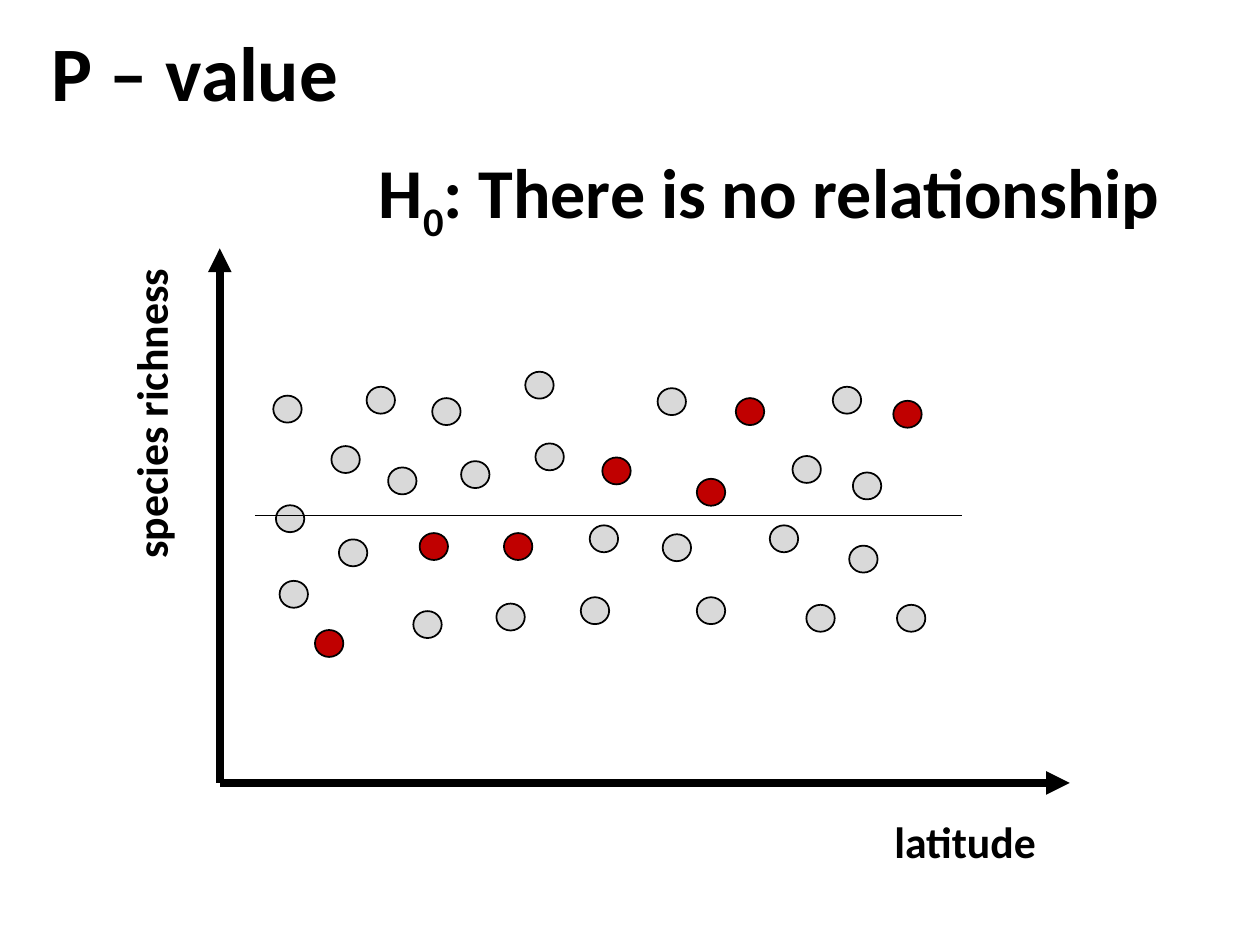
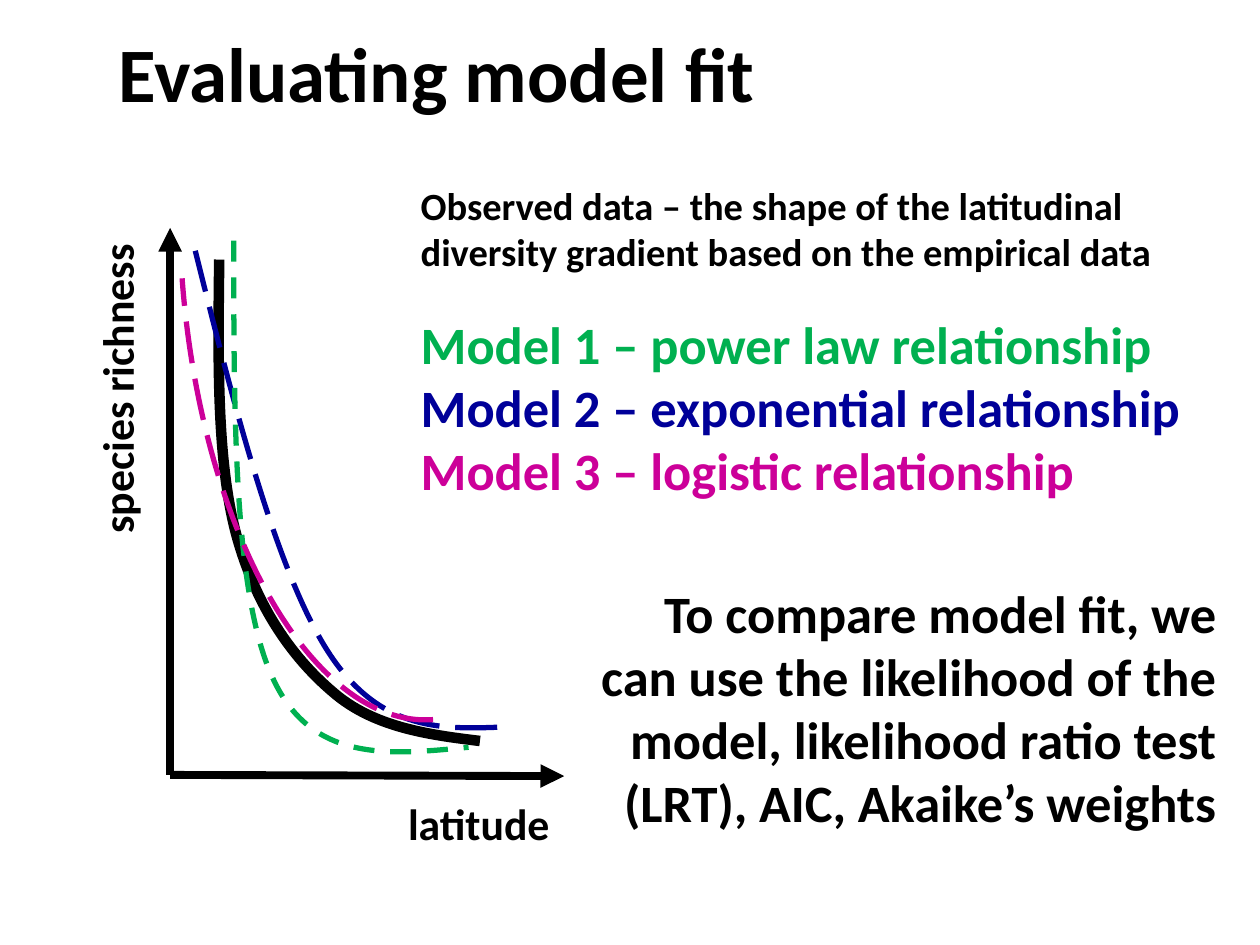
from pptx import Presentation
from pptx.dml.color import RGBColor
from pptx.enum.dml import MSO_LINE
from pptx.enum.shapes import MSO_CONNECTOR, MSO_SHAPE
from pptx.enum.text import MSO_ANCHOR, MSO_AUTO_SIZE, PP_ALIGN
from pptx.oxml.ns import qn
from pptx.util import Pt
from lxml import etree

FONT = "Calibri"
BLACK = RGBColor(0, 0, 0)
GREY = RGBColor(0xD9, 0xD9, 0xD9)
RED = RGBColor(0xC0, 0, 0)
GREEN = RGBColor(0, 0xB0, 0x50)
BLUE = RGBColor(0, 0, 0x99)
PINK = RGBColor(0xCC, 0, 0x99)
DASH, LONG = MSO_LINE.DASH, MSO_LINE.LONG_DASH
LEFT, RIGHT = PP_ALIGN.LEFT, PP_ALIGN.RIGHT
MIDDLE = MSO_ANCHOR.MIDDLE
FIT = MSO_AUTO_SIZE.SHAPE_TO_FIT_TEXT
NO_FIT = MSO_AUTO_SIZE.NONE
LINE = MSO_CONNECTOR.STRAIGHT
OVAL, ARC = MSO_SHAPE.OVAL, MSO_SHAPE.ARC

DOT = (16.2, 15.4)

GREY_DOTS = [
    (209.5, 221), (439.9, 300.2), (236.2, 349.2), (475.9, 221), (247, 227.5),
    (512.6, 345.6), (378.7, 305.3), (331.9, 341.3), (398.2, 341.3),
    (193.7, 308.2), (263.5, 263.5), (306, 253.4), (300.2, 212.4),
    (375.8, 221.8), (460.8, 345.6), (283.7, 344.9), (337, 300.2),
    (452.9, 260.6), (221.8, 267.1), (189.4, 254.9), (156.2, 226.1),
    (157.7, 288.7), (159.8, 331.9), (487.4, 270), (485.3, 311.8),
]
RED_DOTS = [
    (180, 360), (288, 304.6), (344.2, 261.4), (398.2, 273.6),
    (420.5, 227.5), (239.8, 304.6), (510.5, 229),
]
NULL = ["H", "0", ": There is no relationship"]
MODELS = [
    ("Observed data – the shape of the latitudinal diversity gradient "
     "based on the empirical data", 22, BLACK),
    ("Model 1 – power law relationship", 30, GREEN),
    ("Model 2 – exponential relationship", 30, BLUE),
    ("Model 3 – logistic relationship", 30, PINK),
]
ADVICE = ("To compare model fit, we can use the likelihood of the model, "
          "likelihood ratio test (LRT), AIC, Akaike’s weights")
TRUTH = (BLACK, 6, None, [
    (125.3, 148.3), (124.6, 205.2), (123.8, 262.1), (134.6, 303.8),
    (145.4, 344.9), (166.3, 375.1), (190.1, 395.3),
    (213.1, 415.4), (244.1, 419.8), (274.3, 423.4)])
EXPO = (BLUE, 3, LONG, [
    (111.6, 143.3), (134.6, 235.4), (158.4, 327.6), (187.9, 373),
    (217.4, 418.3), (252.7, 416.9), (288.7, 415.4)])
POWER = (GREEN, 3, DASH, [
    (133.6, 137.5), (133.6, 239), (133.6, 340.6), (156.2, 388.1),
    (178.6, 436.3), (223.2, 431.3), (267.8, 427)])


def place(vals):
    return [Pt(v) for v in vals]


def style(para, size, color=BLACK):
    for run in para.runs:
        font = run.font
        font.name, font.size, font.bold = FONT, Pt(size), True
        font.color.rgb = color


def start(deck, title, box):
    slide = deck.slides.add_slide(deck.slide_layouts[5])
    head = slide.shapes.title
    head.left, head.top, head.width, head.height = place(box)
    frame = head.text_frame
    frame.text = title
    frame.auto_size = NO_FIT
    frame.vertical_anchor = MIDDLE
    para = frame.paragraphs[0]
    para.alignment, para.line_spacing = LEFT, 0.9
    style(para, 44)
    return slide


def write(slide, box, rows, wrap=True, align=LEFT):
    shape = slide.shapes.add_textbox(*place(box))
    frame = shape.text_frame
    frame.word_wrap, frame.auto_size = wrap, FIT
    for i, (text, size, color) in enumerate(rows):
        para = frame.add_paragraph() if i else frame.paragraphs[0]
        para.text = text
        para.alignment = align
        style(para, size, color)
    return shape


def rule(slide, ends, width, arrow=False):
    link = slide.shapes.add_connector(LINE, *place(ends))
    link.line.color.rgb, link.line.width = BLACK, Pt(width)
    if arrow:
        ln = link.line._get_or_add_ln()
        etree.SubElement(ln, qn("a:tailEnd"), type="triangle")
    etree.SubElement(link._element.spPr, qn("a:effectLst"))


def axes(slide, x, y, top, right, drop=0):
    rule(slide, (x, y, x, top), 4.5, True)
    rule(slide, (x, y, right, y + drop), 4.5, True)


def labels(slide, side, foot):
    shape = write(slide, (*side, 182.2, 37.4),
                  [("species richness", 25, BLACK)], False)
    shape.rotation = 270
    write(slide, (*foot, 96.5, 37.4), [("latitude", 25, BLACK)], False)


def dots(slide, spots, color):
    for spot in spots:
        dot = slide.shapes.add_shape(OVAL, *place((*spot, *DOT)))
        dot.shadow.inherit = False
        dot.fill.solid()
        dot.fill.fore_color.rgb = color
        dot.line.color.rgb, dot.line.width = BLACK, Pt(1)


def stroke(shape, color, width, dash):
    shape.shadow.inherit = False
    shape.fill.background()
    shape.line.color.rgb, shape.line.width = color, Pt(width)
    if dash:
        shape.line.dash_style = dash


def curve(slide, color, width, dash, pts):
    pen = slide.shapes.build_freeform(*place(pts[0]))
    pen.add_line_segments([place(p) for p in pts[3::3]], close=False)
    shape = pen.convert_to_shape()
    lines = list(shape._element.iter(qn("a:lnTo")))
    for i, old in enumerate(lines):
        bend = etree.Element(qn("a:cubicBezTo"))
        for x, y in pts[3 * i + 1:3 * i + 4]:
            etree.SubElement(bend, qn("a:pt"), x=str(Pt(x) - shape.left),
                             y=str(Pt(y) - shape.top))
        old.getparent().replace(old, bend)
    stroke(shape, color, width, dash)


def p_value(deck):
    slide = start(deck, "P – value", (22.3, -8.6, 181.4, 104.4))
    axes(slide, 125.6, 447.4, 142, 611.3)
    dots(slide, GREY_DOTS, GREY)
    rule(slide, (145.7, 294.5, 549.8, 294.5), 0.5)
    shape = write(slide, (209.5, 81.4, 468, 55.4), [("", 40, BLACK)], False)
    para = shape.text_frame.paragraphs[0]
    for text in NULL:
        para.add_run().text = text
    style(para, 40)
    para.runs[1]._r.get_or_add_rPr().set("baseline", "-25000")
    labels(slide, (-5, 216.4), (504, 461.8))
    dots(slide, RED_DOTS, RED)


def model_fit(deck):
    slide = start(deck, "Evaluating model fit", (60.5, 7.9, 620.6, 73.4))
    axes(slide, 97.2, 442.8, 130.2, 322.4, 0.7)
    curve(slide, *TRUTH)
    curve(slide, *EXPO)
    shape = write(slide, (233.3, 100.4, 452.2, 191.5), MODELS)
    shape.text_frame.paragraphs[1].space_before = Pt(21.8)
    curve(slide, *POWER)
    write(slide, (324.6, 328.7, 377.8, 152.6), [(ADVICE, 30, BLACK)],
          align=RIGHT)
    labels(slide, (-24.5, 202.3), (226.1, 451.9))
    arc = slide.shapes.add_shape(ARC, *place((103.7, -112.3, 249.1, 524.2)))
    arc.adjustments[0], arc.adjustments[1] = 162, 215.96
    arc.rotation = 175.8
    stroke(arc, PINK, 3, LONG)


def main():
    deck = Presentation()
    deck.slide_width, deck.slide_height = Pt(720), Pt(540)
    p_value(deck)
    model_fit(deck)
    deck.save("out.pptx")


if __name__ == "__main__":
    main()
